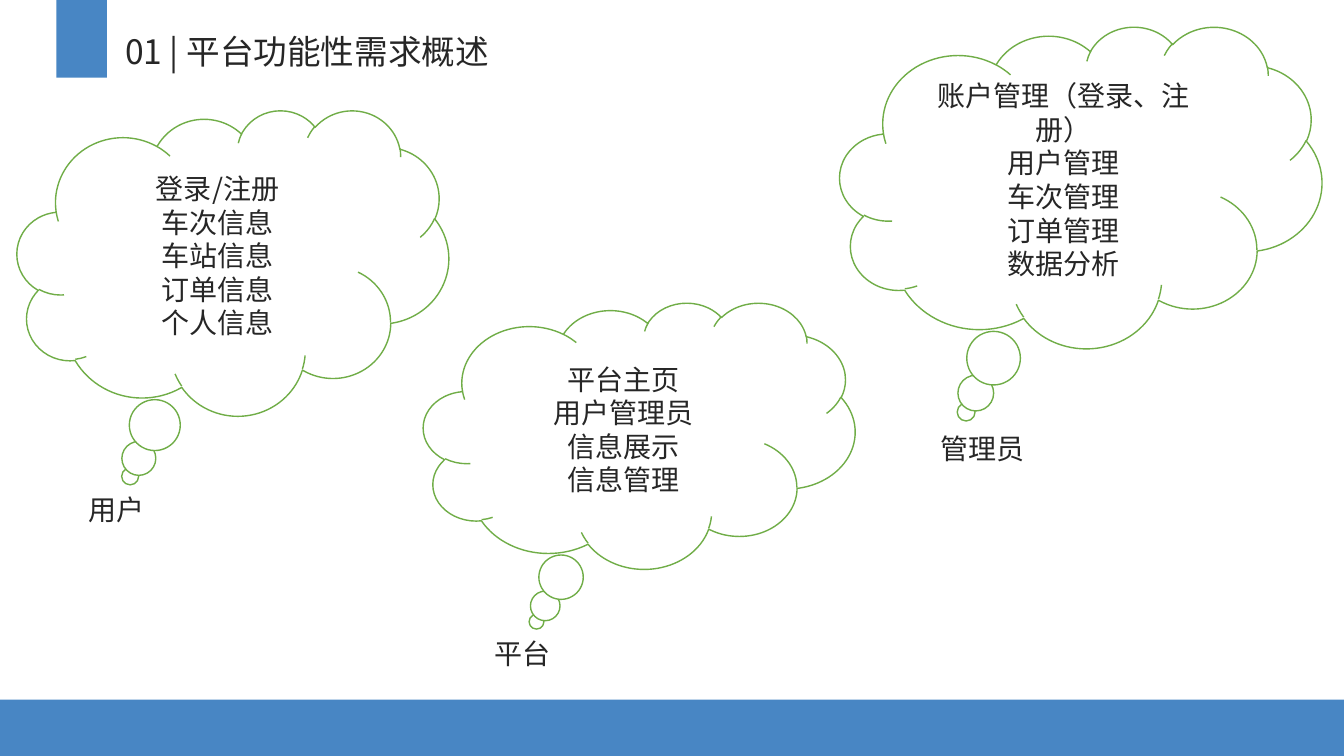
from dataclasses import dataclass

from lxml import etree
from pptx import Presentation
from pptx.dml.color import RGBColor
from pptx.enum.shapes import MSO_SHAPE
from pptx.enum.text import MSO_ANCHOR, MSO_AUTO_SIZE, PP_ALIGN
from pptx.oxml.ns import qn
from pptx.util import Inches, Pt

RECT = MSO_SHAPE.RECTANGLE
CLOUD = MSO_SHAPE.CLOUD_CALLOUT
LEFT, CENTER = PP_ALIGN.LEFT, PP_ALIGN.CENTER
TOP, MIDDLE = MSO_ANCHOR.TOP, MSO_ANCHOR.MIDDLE
NO_FIT = MSO_AUTO_SIZE.NONE
TITLE_ONLY = 5

Box = tuple[float, float, float, float]


@dataclass(frozen=True)
class Theme:
    font: str = "Noto Sans CJK SC"
    ink: RGBColor = RGBColor(0x26, 0x26, 0x26)
    blue: RGBColor = RGBColor(0x48, 0x86, 0xC4)
    green: RGBColor = RGBColor(0x70, 0xAD, 0x47)
    white: RGBColor = RGBColor(0xFF, 0xFF, 0xFF)
    title: int = 24
    body: int = 20


@dataclass(frozen=True)
class Role:
    name: str
    label: Box
    cloud: Box
    needs: tuple[str, ...]


THEME = Theme()
TAIL = (-0.238, 0.7)
BAND: Box = (0, 6.94, 13.33, 0.56)
TAB: Box = (0.56, 0, 0.5, 0.77)
HEAD: Box = (1.14, 0.26, 4.16, 0.5)
ROLES = (
    Role("管理员", (9.23, 4.23, 1.17, 0.44), (8.33, 0.26, 4.78, 3.19),
         ("账户管理（登录、注册）", "用户管理", "车次管理", "订单管理", "数据分析")),
    Role("用户", (0.78, 4.84, 0.88, 0.44), (0.17, 1.09, 4.28, 3.03),
         ("登录/注册", "车次信息", "车站信息", "订单信息", "个人信息")),
    Role("平台", (4.81, 6.27, 0.88, 0.44), (4.2, 3, 4.28, 2.64),
         ("平台主页", "用户管理员", "信息展示", "信息管理")),
)


def place(box: Box) -> list[int]:
    return [Inches(side) for side in box]


def write(shape, lines: tuple[str, ...], size: int, align=LEFT, anchor=TOP) -> None:
    frame = shape.text_frame
    frame.word_wrap = True
    frame.auto_size = NO_FIT
    frame.vertical_anchor = anchor
    for i, line in enumerate(lines):
        para = frame.paragraphs[0] if i == 0 else frame.add_paragraph()
        para.alignment = align
        para.line_spacing = 1.0
        para.space_before = Pt(0)
        run = para.add_run()
        run.text = line
        run.font.size = Pt(size)
        run.font.color.rgb = THEME.ink
        run.font.name = THEME.font
        east = etree.SubElement(run.font._element, qn("a:ea"))
        east.set("typeface", THEME.font)


def draw_bar(slide, box: Box) -> None:
    bar = slide.shapes.add_shape(RECT, *place(box))
    bar.shadow.inherit = False
    bar.fill.solid()
    bar.fill.fore_color.rgb = THEME.blue
    bar.line.fill.background()


def draw_title(slide, text: str) -> None:
    title = slide.shapes.title
    title.left, title.top, title.width, title.height = place(HEAD)
    write(title, (text,), THEME.title)


def draw_role(slide, role: Role) -> None:
    label = slide.shapes.add_textbox(*place(role.label))
    write(label, (role.name,), THEME.body)
    cloud = slide.shapes.add_shape(CLOUD, *place(role.cloud))
    cloud.adjustments[0], cloud.adjustments[1] = TAIL
    cloud.shadow.inherit = False
    cloud.fill.solid()
    cloud.fill.fore_color.rgb = THEME.white
    cloud.line.color.rgb = THEME.green
    cloud.line.width = Pt(1)
    write(cloud, role.needs, THEME.body, CENTER, MIDDLE)


def main() -> None:
    deck = Presentation()
    deck.slide_width, deck.slide_height = Inches(13.33), Inches(7.5)
    slide = deck.slides.add_slide(deck.slide_layouts[TITLE_ONLY])
    for box in (BAND, TAB):
        draw_bar(slide, box)
    draw_title(slide, "01 | 平台功能性需求概述")
    for role in ROLES:
        draw_role(slide, role)
    deck.save("out.pptx")


if __name__ == "__main__":
    main()
